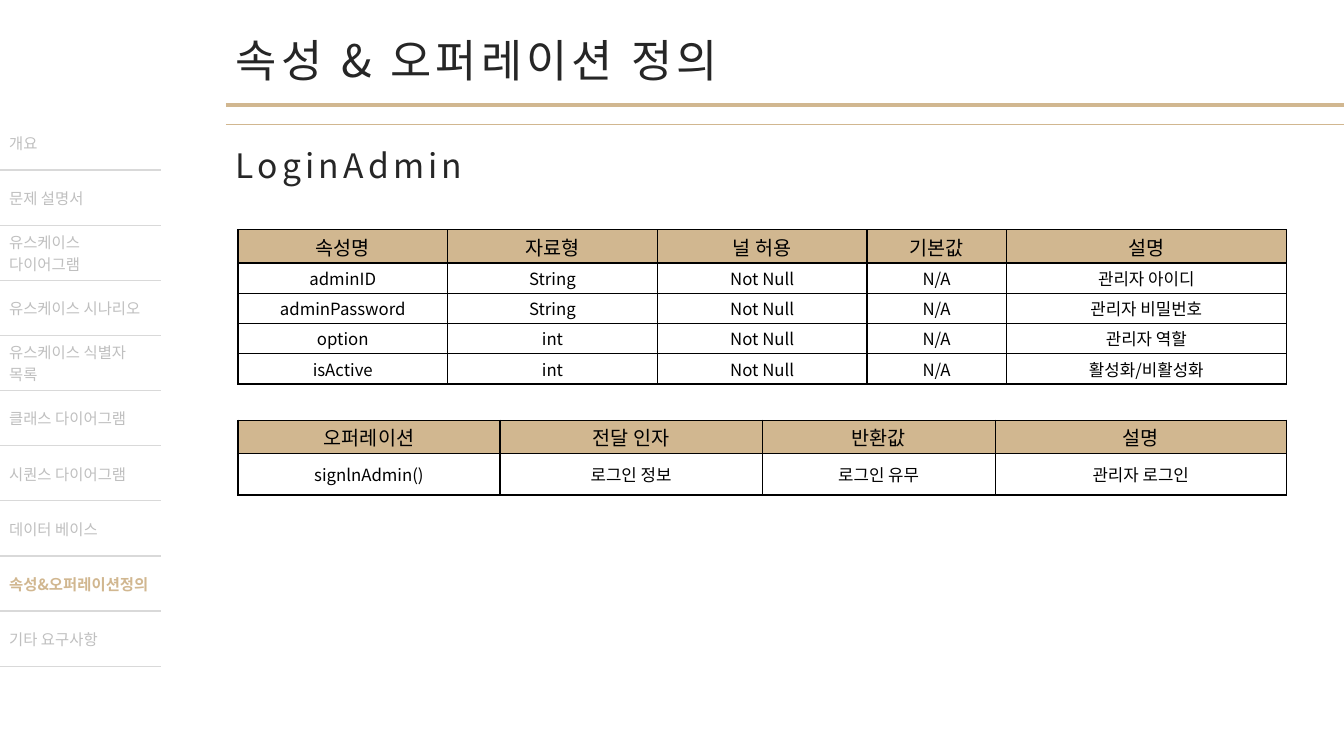
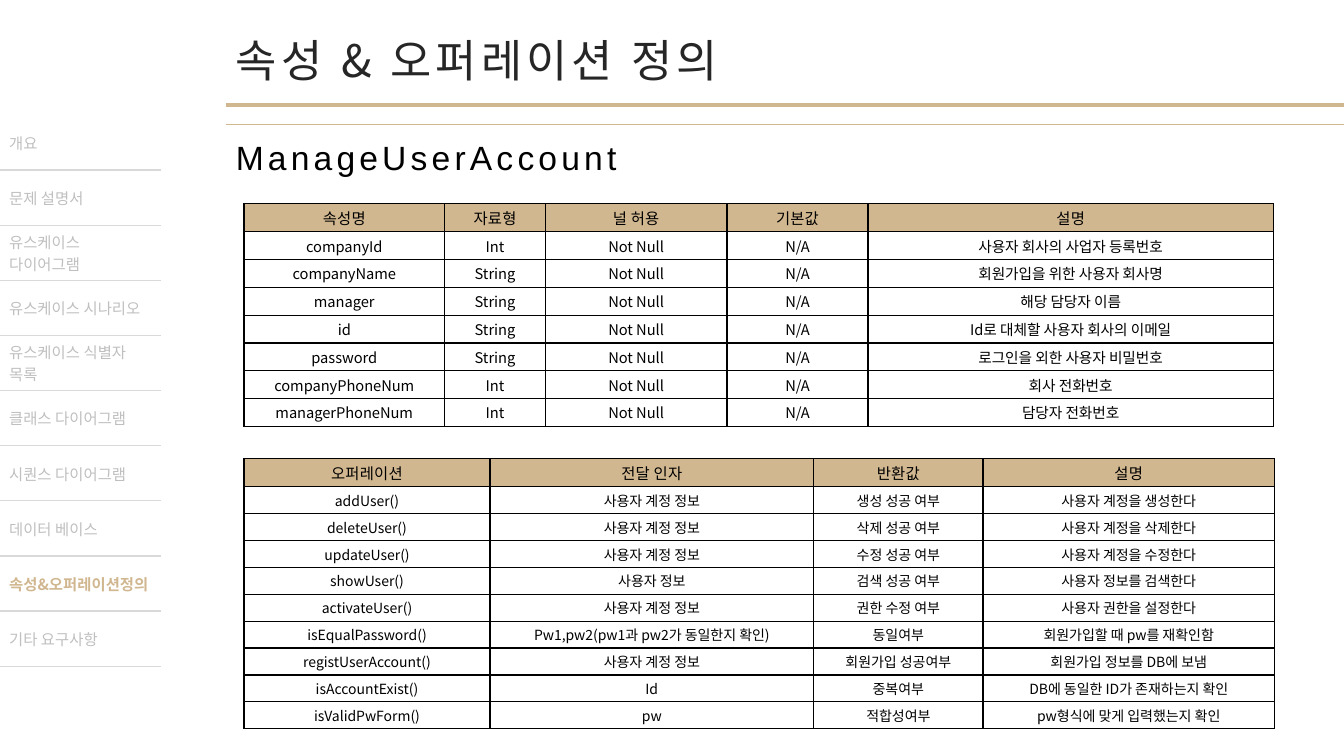
from lxml import etree
from pptx import Presentation
from pptx.dml.color import RGBColor
from pptx.enum.shapes import MSO_CONNECTOR
from pptx.enum.text import MSO_ANCHOR, MSO_AUTO_SIZE, PP_ALIGN
from pptx.oxml.ns import qn
from pptx.util import Inches, Pt

STRAIGHT = MSO_CONNECTOR.STRAIGHT
MIDDLE = MSO_ANCHOR.MIDDLE
NO_AUTOFIT = MSO_AUTO_SIZE.NONE
LEFT, CENTER = PP_ALIGN.LEFT, PP_ALIGN.CENTER

GOLD, BLACK, WHITE = "D1B790", "000000", "FFFFFF"
TITLE_GRAY, MENU_GRAY, RULE_GRAY = "262626", "BFBFBF", "D9D9D9"
KOREAN_FONT, LATIN_FONT = "Noto Sans CJK KR", "Arial"

SLIDE_WIDTH, SLIDE_HEIGHT = 13.33, 7.5
CONTENT_LEFT = 2.24
TITLE = "속성 & 오퍼레이션 정의"
TITLE_ONLY_LAYOUT = 5
ACTIVE_MENU_ITEM = "속성&오퍼레이션정의"
MENU_ITEMS = [
    "개요", "문제 설명서", "유스케이스 다이어그램", "유스케이스 시나리오",
    "유스케이스 식별자 목록", "클래스 다이어그램", "시퀀스 다이어그램",
    "데이터 베이스", ACTIVE_MENU_ITEM, "기타 요구사항",
]

ATTRIBUTE_HEADER = ["속성명", "자료형", "널 허용", "기본값", "설명"]
OPERATION_HEADER = ["오퍼레이션", "전달 인자", "반환값", "설명"]
LOGIN_ATTRIBUTES = [
    ("adminID", "String", "관리자 아이디"),
    ("adminPassword", "String", "관리자 비밀번호"),
    ("option", "int", "관리자 역할"),
    ("isActive", "int", "활성화/비활성화"),
]
LOGIN_OPERATIONS = [("signlnAdmin()", "로그인 정보", "로그인 유무", "관리자 로그인")]
ACCOUNT_ATTRIBUTES = [
    ("companyId", "Int", "사용자 회사의 사업자 등록번호"),
    ("companyName", "String", "회원가입을 위한 사용자 회사명"),
    ("manager", "String", "해당 담당자 이름"),
    ("id", "String", "Id로 대체할 사용자 회사의 이메일"),
    ("password", "String", "로그인을 외한 사용자 비밀번호"),
    ("companyPhoneNum", "Int", "회사 전화번호"),
    ("managerPhoneNum", "Int", "담당자 전화번호"),
]
ACCOUNT_OPERATIONS = [
    ("addUser()", "사용자 계정 정보", "생성 성공 여부", "사용자 계정을 생성한다"),
    ("deleteUser()", "사용자 계정 정보", "삭제 성공 여부", "사용자 계정을 삭제한다"),
    ("updateUser()", "사용자 계정 정보", "수정 성공 여부", "사용자 계정을 수정한다"),
    ("showUser()", "사용자 정보", "검색 성공 여부", "사용자 정보를 검색한다"),
    ("activateUser()", "사용자 계정 정보", "권한 수정 여부", "사용자 권한을 설정한다"),
    ("isEqualPassword()", "Pw1,pw2(pw1과 pw2가 동일한지 확인)", "동일여부",
     "회원가입할 때 pw를 재확인함"),
    ("registUserAccount()", "사용자 계정 정보", "회원가입 성공여부",
     "회원가입 정보를 DB에 보냄"),
    ("isAccountExist()", "Id", "중복여부", "DB에 동일한 ID가 존재하는지 확인"),
    ("isValidPwForm()", "pw", "적합성여부", "pw형식에 맞게 입력했는지 확인"),
]


def color(hex_value):
    """Return the colour for a hex string."""
    return RGBColor.from_string(hex_value)


def write_text(frame, text, size=12, ink=BLACK, font=KOREAN_FONT, bold=False,
               spacing=0, align=LEFT):
    """Write one formatted paragraph into a text frame."""
    frame.word_wrap = True
    paragraph = frame.paragraphs[0]
    paragraph.alignment = align
    run = paragraph.add_run()
    run.text = text
    run.font.size = Pt(size)
    run.font.bold = bold
    run.font.color.rgb = color(ink)
    run.font.name = font
    properties = run.font._element
    properties.set("spc", str(round(spacing * 100)))
    etree.SubElement(properties, qn("a:ea"), typeface=font)


def add_rule(slide, top, weight):
    """Draw a gold rule from the content edge to the slide edge."""
    rule = slide.shapes.add_connector(
        STRAIGHT, Inches(CONTENT_LEFT), Inches(top), Inches(SLIDE_WIDTH), Inches(top))
    rule.line.color.rgb = color(GOLD)
    rule.line.width = Pt(weight)
    etree.SubElement(rule._element.spPr, qn("a:effectLst"))


def set_borders(cell, sides, ink):
    """Give the named sides of a cell a 1 pt line and clear the others."""
    properties = cell._tc.get_or_add_tcPr()
    for side in "LRTB":
        line = etree.SubElement(properties, qn(f"a:ln{side}"), w=str(Pt(1)))
        if side in sides:
            fill = etree.SubElement(line, qn("a:solidFill"))
            etree.SubElement(fill, qn("a:srgbClr"), val=ink)
        else:
            etree.SubElement(line, qn("a:noFill"))


def add_grid(slide, left, top, widths, heights):
    """Add an unbanded table with the given column widths and row heights."""
    table = slide.shapes.add_table(
        len(heights), len(widths), Inches(left), Inches(top),
        Inches(sum(widths)), Inches(sum(heights))).table
    table.first_row = table.horz_banding = False
    for column, width in zip(table.columns, widths):
        column.width = Inches(width)
    for row, height in zip(table.rows, heights):
        row.height = Inches(height)
    return table


def fill_cell(cell, text, sides, border, fill, margin, **text_format):
    """Set the borders, fill and text of one cell."""
    set_borders(cell, sides, border)
    cell.fill.solid()
    cell.fill.fore_color.rgb = color(fill)
    cell.vertical_anchor = MIDDLE
    cell.margin_top = cell.margin_bottom = Inches(margin)
    write_text(cell.text_frame, text, **text_format)


def add_definition_table(slide, left, top, widths, height, header_height,
                         header, rows, header_size, size):
    """Add a definition table with a gold header and equal body rows."""
    row_height = (height - header_height) / len(rows)
    table = add_grid(slide, left, top, widths,
                     [header_height] + [row_height] * len(rows))
    for row_index, values in enumerate([header, *rows]):
        if row_index == 0:
            fill, text_format = GOLD, {"size": header_size, "spacing": 0.1}
        else:
            fill, text_format = WHITE, {"size": size}
        for column_index, text in enumerate(values):
            fill_cell(table.cell(row_index, column_index), text, "LRTB", BLACK,
                      fill, 0.02, align=CENTER, **text_format)


def add_menu(slide):
    """Add the side menu with the current section highlighted."""
    table = add_grid(slide, 0, 1.14, [1.6], [5.47 / len(MENU_ITEMS)] * len(MENU_ITEMS))
    for index, text in enumerate(MENU_ITEMS):
        active = text == ACTIVE_MENU_ITEM
        sides = "B" if index == 0 else "TB"
        cell = table.cell(index, 0)
        cell.margin_left = Inches(0.09)
        fill_cell(cell, text, sides, RULE_GRAY, WHITE, 0.05, size=11,
                  ink=GOLD if active else MENU_GRAY, bold=active)


def attribute_rows(attributes):
    """Complete attributes with the null rule and default they share."""
    return [(name, kind, "Not Null", "N/A", description)
            for name, kind, description in attributes]


def prepare_layout(presentation):
    """Place the title on the shared layout and return the layout."""
    layout = presentation.slide_layouts[TITLE_ONLY_LAYOUT]
    title = layout.placeholders[0]
    title.left, title.top = Inches(CONTENT_LEFT), Inches(0.27)
    title.width, title.height = Inches(5.95), Inches(0.64)
    title.text_frame.vertical_anchor = MIDDLE
    title.text_frame.auto_size = NO_AUTOFIT
    return layout


def add_class_slide(presentation, layout, class_name, top, **name_format):
    """Add a slide with title, rules, menu and class name."""
    slide = presentation.slides.add_slide(layout)
    write_text(slide.shapes.title.text_frame, TITLE, size=32, ink=TITLE_GRAY, spacing=3)
    add_rule(slide, 1.04, 3)
    add_rule(slide, 1.23, 0.25)
    box = slide.shapes.add_textbox(
        Inches(CONTENT_LEFT), Inches(top), Inches(4.81), Inches(0.5))
    box.text_frame.vertical_anchor = MIDDLE
    write_text(box.text_frame, class_name, size=24, spacing=3, **name_format)
    add_menu(slide)
    return slide


def main():
    """Build and save the presentation."""
    presentation = Presentation()
    presentation.slide_width = Inches(SLIDE_WIDTH)
    presentation.slide_height = Inches(SLIDE_HEIGHT)
    layout = prepare_layout(presentation)

    login = add_class_slide(presentation, layout, "LoginAdmin", 1.39, ink=TITLE_GRAY)
    add_definition_table(login, 2.36, 2.28, [2.08, 2.08, 2.08, 1.38, 2.78], 1.53, 0.33,
                         ATTRIBUTE_HEADER, attribute_rows(LOGIN_ATTRIBUTES), 14, 12)
    add_definition_table(login, 2.36, 4.17, [2.6, 2.6, 2.31, 2.89], 0.74, 0.33,
                         OPERATION_HEADER, LOGIN_OPERATIONS, 14, 12)

    account = add_class_slide(presentation, layout, "ManageUserAccount", 1.31,
                              font=LATIN_FONT)
    add_definition_table(account, 2.42, 2.02, [1.99, 1, 1.8, 1.4, 4.02], 2.21, 0.28,
                         ATTRIBUTE_HEADER, attribute_rows(ACCOUNT_ATTRIBUTES), 11, 10.5)
    add_definition_table(account, 2.42, 4.55, [2.44, 3.21, 1.68, 2.89], 2.68, 0.28,
                         OPERATION_HEADER, ACCOUNT_OPERATIONS, 11, 10)
    presentation.save("out.pptx")


if __name__ == "__main__":
    main()
